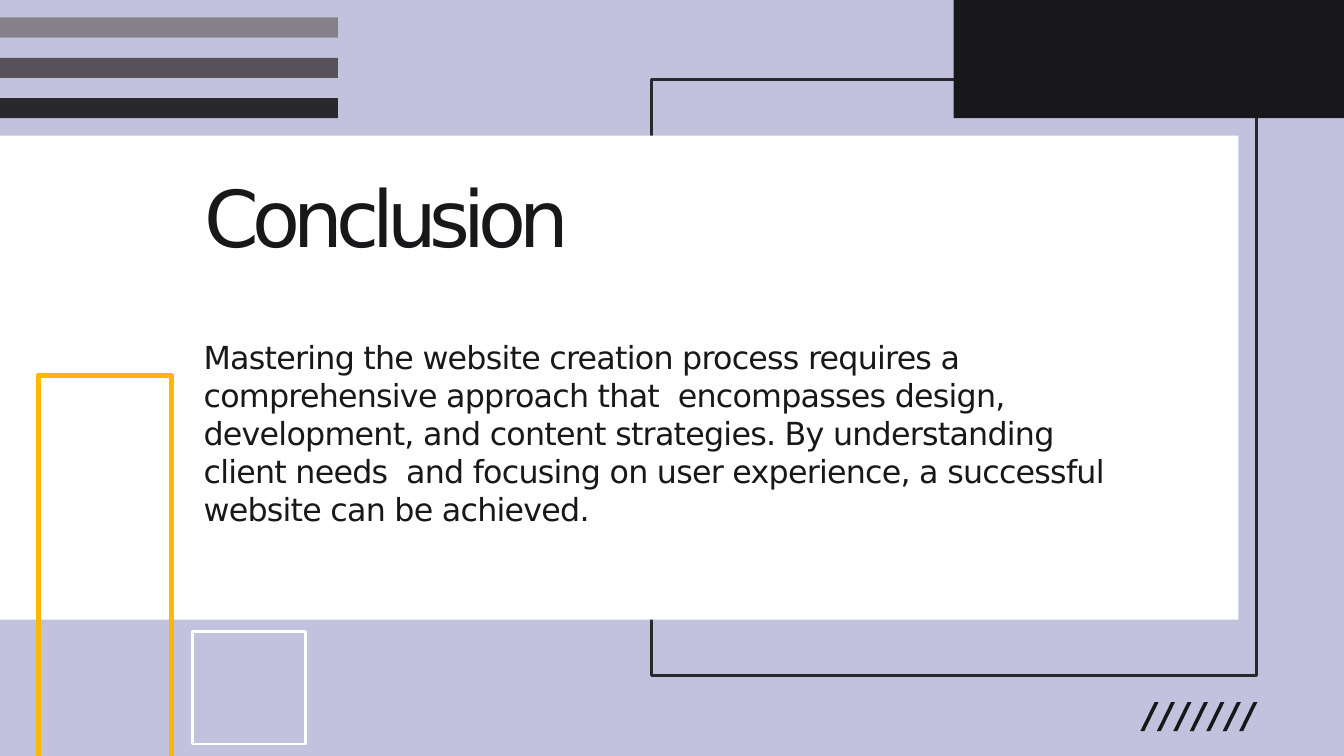
from dataclasses import dataclass

from pptx import Presentation, util as u
from pptx.dml.color import RGBColor
from pptx.enum import shapes, text


@dataclass(frozen=True)
class Theme:
    lilac: str = "C2C2DF"
    white: str = "FFFFFF"
    ink: str = "18181A"
    charcoal: str = "29282C"
    slate: str = "575259"
    ash: str = "86808A"
    amber: str = "FFB700"
    font: str = "DejaVu Sans"
    title_size: int = 84
    body_size: int = 34


theme = Theme()
COLUMNS, ROWS = 2000, 1125
CELL = u.Inches(20) // COLUMNS


def block(left, top, width, height, fill=None, line=None, weight=3.2,
          kind=shapes.MSO_SHAPE.RECTANGLE):
    part = slide.shapes.add_shape(
        kind, left * CELL, top * CELL, width * CELL, height * CELL)
    part.shadow.inherit = False
    if fill:
        part.fill.solid()
        part.fill.fore_color.rgb = RGBColor.from_string(fill)
    else:
        part.fill.background()
    if line:
        part.line.color.rgb = RGBColor.from_string(line)
        part.line.width = u.Pt(weight)
    else:
        part.line.fill.background()
    return part


def write(holder, words, size, leading, tracking):
    frame = holder.text_frame
    frame.word_wrap = True
    frame.auto_size = text.MSO_AUTO_SIZE.NONE
    frame.vertical_anchor = text.MSO_ANCHOR.TOP
    frame.margin_left = frame.margin_right = 0
    frame.margin_top = frame.margin_bottom = 0
    paragraph = frame.paragraphs[0]
    paragraph.alignment = text.PP_ALIGN.LEFT
    paragraph.line_spacing = u.Pt(leading)
    run = paragraph.add_run()
    run.text = words
    run.font.name = theme.font
    run.font.size = u.Pt(size)
    run.font.color.rgb = RGBColor.from_string(theme.ink)
    run._r.get_or_add_rPr().set("spc", str(round(tracking * 100)))


deck = Presentation()
deck.slide_width, deck.slide_height = COLUMNS * CELL, ROWS * CELL
slide = deck.slides.add_slide(deck.slide_layouts[5])
slide.background.fill.solid()
slide.background.fill.fore_color.rgb = RGBColor.from_string(theme.lilac)

block(969, 119, 901, 887, line=theme.charcoal)
block(0, 202, 1843, 720, fill=theme.white)

for slash in range(7):
    mark = block(1697 + slash * 24.5, 1045, 27, 43, fill=theme.ink,
                 kind=shapes.MSO_SHAPE.PARALLELOGRAM)
    mark.adjustments[0] = 0.78

for row, shade in enumerate((theme.ash, theme.slate, theme.charcoal)):
    block(0, 26 + row * 60, 503, 30, fill=shade)

block(1419, 0, COLUMNS - 1419, 176, fill=theme.ink)

doorway = slide.shapes.build_freeform(57, ROWS, scale=CELL)
doorway.add_line_segments([(57, 559), (255, 559), (255, ROWS)], close=False)
arch = doorway.convert_to_shape()
arch.shadow.inherit = False
arch.fill.background()
arch.line.color.rgb = RGBColor.from_string(theme.amber)
arch.line.width = u.Pt(5.8)

block(286, 940, 169, 167, line=theme.white, weight=2.9)

title = slide.shapes.title
title.left, title.top = 305 * CELL, 251 * CELL
title.width, title.height = 1390 * CELL, 141 * CELL
write(title, "Conclusion", size=theme.title_size, leading=100.8, tracking=-7.5)
slide.shapes.element.append(title.element)

summary = slide.shapes.add_textbox(303 * CELL, 502 * CELL, 1392 * CELL, 281 * CELL)
write(
    summary,
    "Mastering the website creation process requires a comprehensive approach "
    "that  encompasses design, development, and content strategies. By "
    "understanding client needs  and focusing on user experience, a successful "
    "website can be achieved.",
    size=theme.body_size, leading=40.9, tracking=-0.8)

deck.save("out.pptx")
